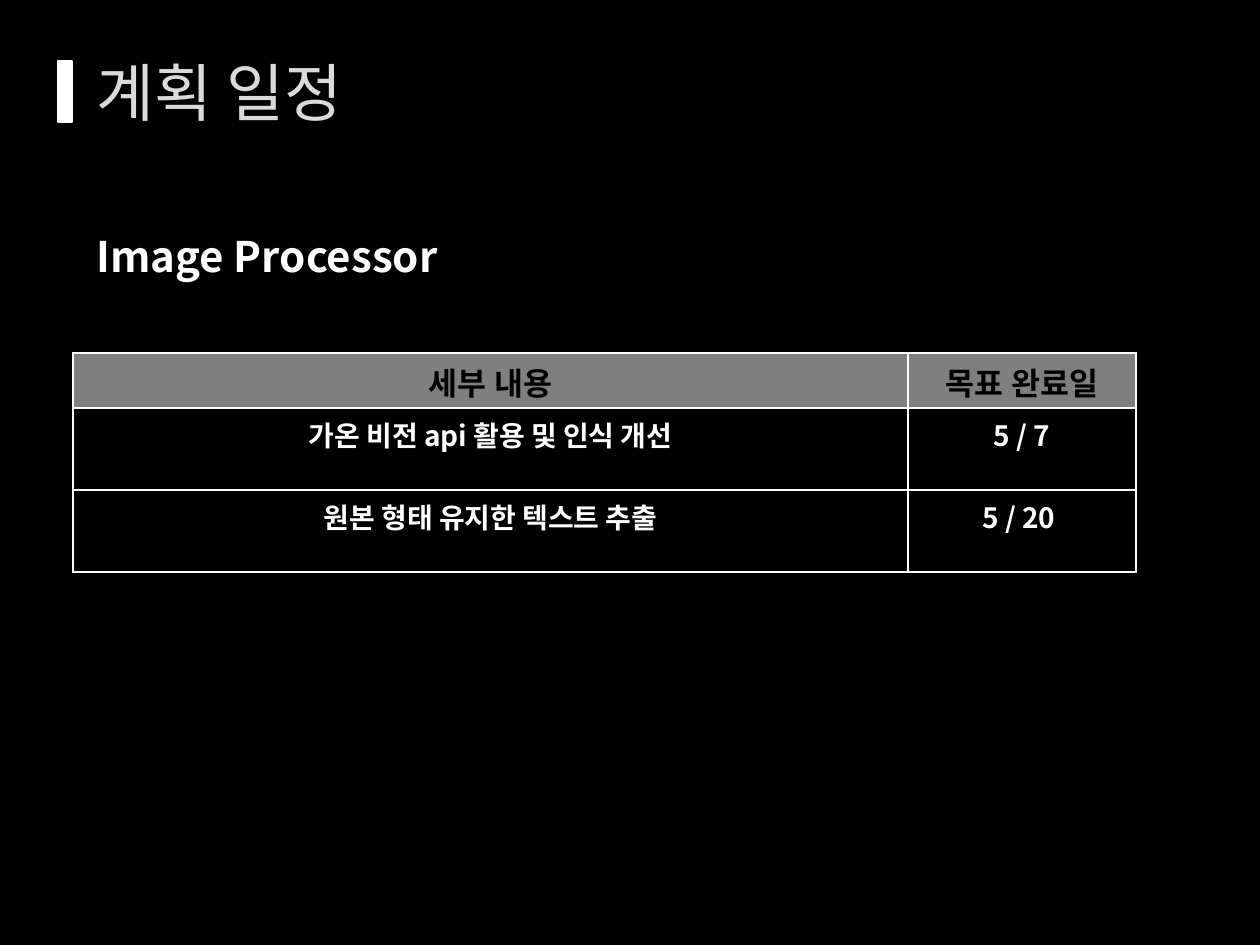
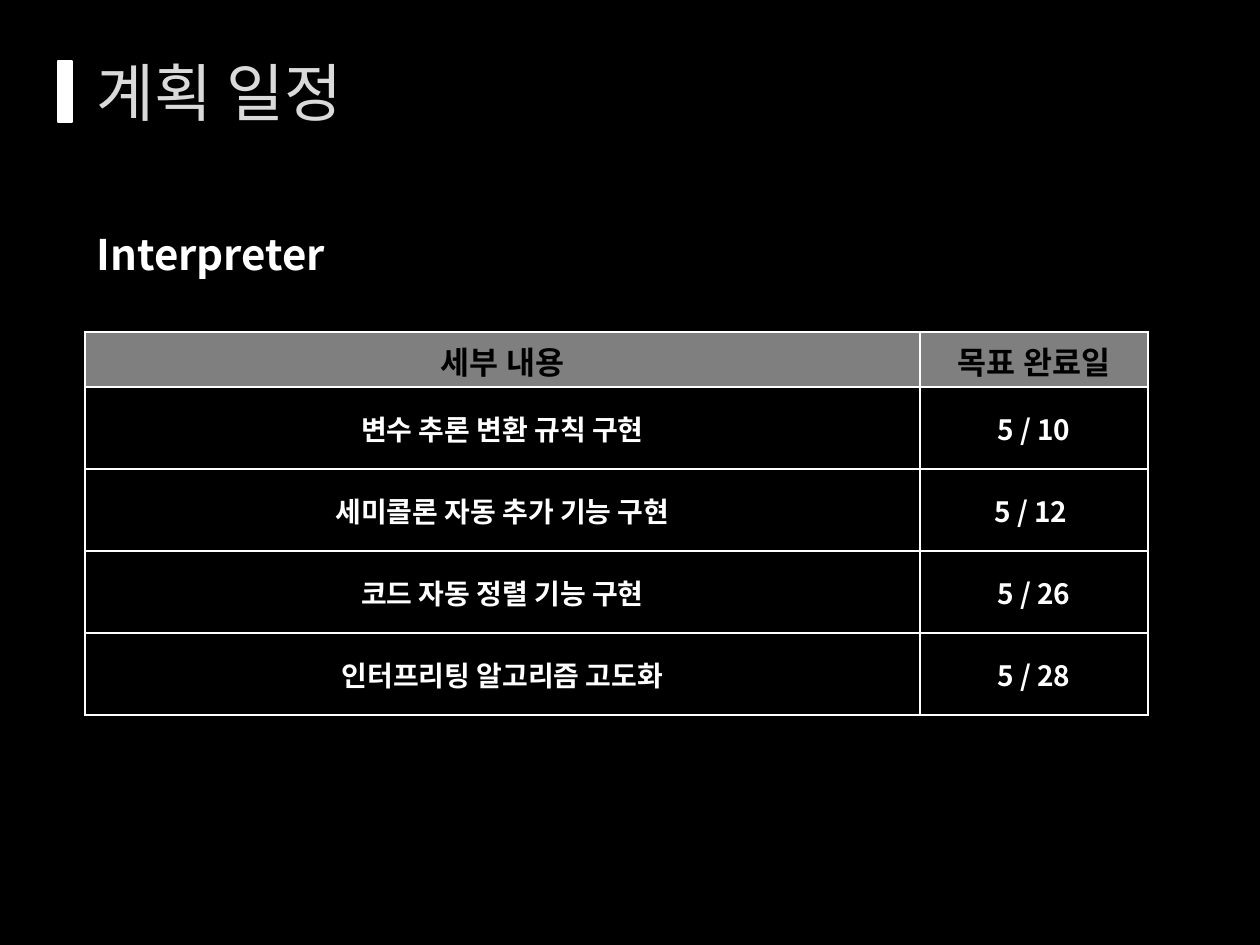
from dataclasses import dataclass

from lxml.etree import SubElement
from pptx import Presentation
from pptx.dml.color import RGBColor
from pptx.enum.shapes import MSO_SHAPE
from pptx.enum.text import MSO_ANCHOR, MSO_AUTO_SIZE, PP_ALIGN
from pptx.oxml import parse_xml
from pptx.oxml.ns import nsdecls, qn
from pptx.util import Emu, Pt


@dataclass(frozen=True)
class Theme:
    font: str = "Noto Sans CJK KR"
    back: str = "000000"
    light: str = "FFFFFF"
    dark: str = "000000"
    title: str = "DADADA"
    outline: str = "404040"
    header: str = "7F7F7F"
    title_size: int = 36
    heading_size: int = 24
    header_size: int = 18
    body_size: int = 16


def px(n):
    return Emu(round(n * 914400 / 126))


def line_xml(tag, color, width, alpha=100):
    return parse_xml(
        f'<a:{tag} {nsdecls("a")} w="{Pt(width)}"><a:solidFill><a:srgbClr val="{color}">'
        f'<a:alpha val="{alpha * 1000}"/></a:srgbClr></a:solidFill></a:{tag}>')


class Deck:
    """Builds the schedule slides in one shared style."""

    def __init__(self, theme):
        self.t = theme
        self.prs = Presentation()
        self.prs.slide_width, self.prs.slide_height = px(1260), px(945)
        fill = self.prs.slide_master.background.fill
        fill.solid()
        fill.fore_color.rgb = RGBColor.from_string(theme.back)
        self.s = None

    def run(self, p, text, size, color, bold=False):
        r = p.add_run()
        r.text = text
        r.font.size, r.font.bold = Pt(size), bold
        r.font.color.rgb = RGBColor.from_string(color)
        r.font.name = self.t.font
        SubElement(r.font._element, qn("a:ea"), typeface=self.t.font)
        return r

    def slide(self, title):
        self.s = self.prs.slides.add_slide(self.prs.slide_layouts[5])
        sp = self.s.shapes.title
        sp.left, sp.top, sp.width, sp.height = px(84), px(0), px(1176), px(183)
        tf = sp.text_frame
        tf.auto_size, tf.vertical_anchor = MSO_AUTO_SIZE.NONE, MSO_ANCHOR.MIDDLE
        p = tf.paragraphs[0]
        p.alignment = PP_ALIGN.LEFT
        r = self.run(p, title, self.t.title_size, self.t.title)
        r.font._element.insert(0, line_xml("ln", self.t.outline, 0.75, alpha=10))
        self.bar(58, 61, 14, 61)

    def bar(self, x, y, w, h):
        sp = self.s.shapes.add_shape(MSO_SHAPE.RECTANGLE, px(x), px(y), px(w), px(h))
        sp.shadow.inherit = False
        sp.fill.solid()
        sp.fill.fore_color.rgb = sp.line.color.rgb = RGBColor.from_string(self.t.light)
        sp.line.width = Pt(1.25)

    def heading(self, text, y, w):
        sp = self.s.shapes.add_textbox(px(84), px(y), px(w), px(63))
        tf = sp.text_frame
        tf.word_wrap, tf.auto_size = True, MSO_AUTO_SIZE.SHAPE_TO_FIT_TEXT
        self.run(tf.paragraphs[0], text, self.t.heading_size, self.t.light, bold=True)

    def cell(self, cell, text, is_header, anchor):
        cell.vertical_anchor = anchor
        if is_header:
            cell.fill.solid()
            cell.fill.fore_color.rgb = RGBColor.from_string(self.t.header)
            size, color = self.t.header_size, self.t.dark
        else:
            cell.fill.background()
            size, color = self.t.body_size, self.t.light
        p = cell.text_frame.paragraphs[0]
        p.alignment = PP_ALIGN.CENTER
        self.run(p, text, size, color, bold=True)
        tc_pr = cell._tc.get_or_add_tcPr()
        for i, tag in enumerate(("lnL", "lnR", "lnT", "lnB")):
            tc_pr.insert(i, line_xml(tag, self.t.light, 1))

    def table(self, x, y, tasks, anchor):
        rows = [("세부 내용", "목표 완료일"), *tasks]
        widths, heights = (835, 228), [55] + [82] * len(tasks)
        frame = self.s.shapes.add_table(len(rows), len(widths), px(x), px(y),
                                        px(sum(widths)), px(sum(heights)))
        tbl = frame.table
        tbl.first_row = tbl.horz_banding = False
        for col, w in zip(tbl.columns, widths):
            col.width = px(w)
        for i, (row, h, texts) in enumerate(zip(tbl.rows, heights, rows)):
            row.height = px(h)
            for cell, text in zip(row.cells, texts):
                self.cell(cell, text, i == 0, anchor)


def main():
    deck = Deck(Theme())

    deck.slide("계획 일정")
    deck.heading("Image Processor", 224, 461)
    deck.table(73, 353, [
        ("가온 비전 api 활용 및 인식 개선", "5 / 7"),
        ("원본 형태 유지한 텍스트 추출", "5 / 20 "),
    ], MSO_ANCHOR.TOP)

    deck.slide("계획 일정")
    deck.heading("Interpreter", 222, 651)
    deck.table(85, 332, [
        ("변수 추론 변환 규칙 구현", "5 / 10"),
        ("세미콜론 자동 추가 기능 구현", "5 / 12 "),
        ("코드 자동 정렬 기능 구현", "5 / 26"),
        ("인터프리팅 알고리즘 고도화", "5 / 28"),
    ], MSO_ANCHOR.MIDDLE)

    deck.prs.save("out.pptx")


if __name__ == "__main__":
    main()
